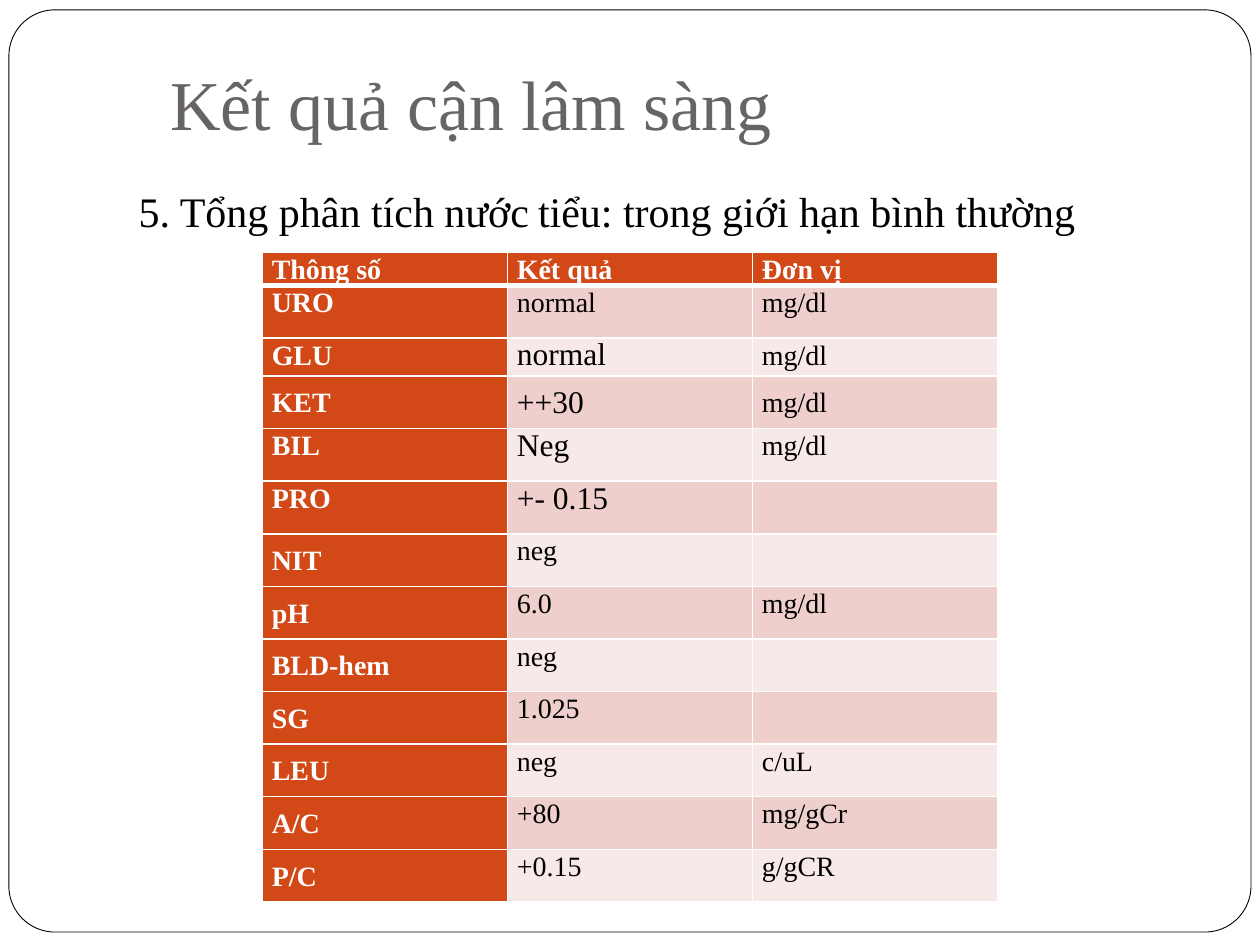
from dataclasses import dataclass

from lxml import etree
from pptx import Presentation
from pptx.dml.color import RGBColor
from pptx.enum.shapes import MSO_SHAPE
from pptx.enum.text import MSO_ANCHOR, MSO_AUTO_SIZE, PP_ALIGN
from pptx.oxml.ns import qn
from pptx.util import Cm, Pt

LEFT, JUSTIFY = PP_ALIGN.LEFT, PP_ALIGN.JUSTIFY
TOP, MIDDLE, BOTTOM = MSO_ANCHOR.TOP, MSO_ANCHOR.MIDDLE, MSO_ANCHOR.BOTTOM
ROUNDED = MSO_SHAPE.ROUNDED_RECTANGLE
NO_FIT = MSO_AUTO_SIZE.NONE


@dataclass(frozen=True)
class Theme:
    font: str = "Times New Roman"
    white: str = "FFFFFF"
    black: str = "000000"
    title: str = "696464"
    accent: str = "D34817"
    bands: tuple = ("EFCFCC", "F7E9E8")
    title_size: int = 40
    body_size: int = 24
    gap_size: int = 20
    large_size: int = 18
    cell_size: int = 16


THEME = Theme()

HEADERS = ("Thông số", "Kết quả", "Đơn vị")
RESULTS = (
    ("URO", "normal", "mg/dl"),
    ("GLU", "normal", "mg/dl"),
    ("KET", "++30", "mg/dl"),
    ("BIL", "Neg", "mg/dl"),
    ("PRO", "+- 0.15", ""),
    ("NIT", "neg", ""),
    ("pH", "6.0", "mg/dl"),
    ("BLD-hem", "neg", ""),
    ("SG", "1.025", ""),
    ("LEU", "neg", "c/uL"),
    ("A/C", "+80", "mg/gCr"),
    ("P/C", "+0.15", "g/gCR"),
)
LARGE_RESULTS = {"GLU", "KET", "BIL", "PRO"}
MIDDLE_NAMES = {"KET", "NIT", "pH", "BLD-hem", "SG", "LEU", "A/C", "P/C"}


def add_text(p, text, size=THEME.cell_size, color=THEME.black, bold=False,
             align=LEFT, line=1.0, after=0):
    p.alignment = align
    p.line_spacing = line
    p.space_before, p.space_after = Pt(0), Pt(after)
    r = p.add_run()
    r.text = text
    r.font.name, r.font.size, r.font.bold = THEME.font, Pt(size), bold
    r.font.color.rgb = RGBColor.from_string(color)


def place(sp, box):
    sp.left, sp.top, sp.width, sp.height = (Cm(v) for v in box)


def add_frame(slide, box):
    sp = slide.shapes.add_shape(ROUNDED, *(Cm(v) for v in box))
    sp.adjustments[0] = 0.05
    sp.shadow.inherit = False
    sp.fill.solid()
    sp.fill.fore_color.rgb = RGBColor.from_string(THEME.white)
    sp.line.color.rgb = RGBColor.from_string(THEME.black)
    sp.line.width = Pt(0.5)
    slide.shapes._spTree.insert(2, sp._element)


def fill_title(slide, box, text):
    sp = slide.shapes.title
    place(sp, box)
    tf = sp.text_frame
    tf.auto_size, tf.word_wrap = NO_FIT, True
    tf.vertical_anchor = BOTTOM
    tf.margin_bottom = Cm(0.25)
    add_text(tf.paragraphs[0], text, size=THEME.title_size, color=THEME.title)


def fill_body(slide, box, runs):
    sp = slide.placeholders[1]
    place(sp, box)
    tf = sp.text_frame
    tf.auto_size, tf.word_wrap = NO_FIT, True
    p = tf.paragraphs[0]
    pPr = p._p.get_or_add_pPr()
    pPr.set("marL", "0")
    pPr.set("indent", "0")
    etree.SubElement(pPr, qn("a:buNone"))
    for text, size in runs:
        add_text(p, text, size=size)


def set_borders(cell, top, bottom):
    tcPr = cell._tc.get_or_add_tcPr()
    sides = (("L", 1), ("R", 1), ("T", top), ("B", bottom))
    for i, (side, width) in enumerate(sides):
        ln = etree.Element(qn(f"a:ln{side}"), w=str(Pt(width)))
        fill = etree.SubElement(ln, qn("a:solidFill"))
        etree.SubElement(fill, qn("a:srgbClr"), val=THEME.white)
        tcPr.insert(i, ln)


def fill_cell(cell, text, fill, anchor=TOP, top=1, bottom=1, **fmt):
    cell.margin_left = cell.margin_right = Cm(0.19)
    cell.margin_top = cell.margin_bottom = 0
    cell.vertical_anchor = anchor
    cell.fill.solid()
    cell.fill.fore_color.rgb = RGBColor.from_string(fill)
    set_borders(cell, top, bottom)
    if text:
        add_text(cell.text_frame.paragraphs[0], text, **fmt)


def add_results(slide, box):
    rows, cols = len(RESULTS) + 1, len(HEADERS)
    table = slide.shapes.add_table(rows, cols, *(Cm(v) for v in box)).table
    table.horz_banding = False
    for col in table.columns:
        col.width = Cm(box[2] / cols)
    for row in table.rows:
        row.height = Cm(1.06)
    table.rows[0].height = Cm(0.66)
    table.rows[2].height = Cm(0.77)

    spaced = dict(align=JUSTIFY, line=1.07, after=8)
    strong = dict(spaced, color=THEME.white, bold=True)
    for c, text in enumerate(HEADERS):
        fill_cell(table.cell(0, c), text, THEME.accent, bottom=3, **strong)
    for i, (name, result, unit) in enumerate(RESULTS):
        band = THEME.bands[i % 2]
        top = 3 if i == 0 else 1
        name_anchor = MIDDLE if name in MIDDLE_NAMES else TOP
        anchor = MIDDLE if name == "KET" else TOP
        large = dict(size=THEME.large_size)
        result_format = large if name in LARGE_RESULTS else spaced
        cells = table.rows[i + 1].cells
        fill_cell(cells[0], name, THEME.accent, name_anchor, top, **strong)
        fill_cell(cells[1], result, band, anchor, top, **result_format)
        fill_cell(cells[2], unit, band, anchor, top, **spaced)


def main():
    prs = Presentation()
    prs.slide_width, prs.slide_height = Cm(25.4), Cm(19.05)
    slide = prs.slides.add_slide(prs.slide_layouts[1])
    add_frame(slide, (0.18, 0.2, 25.04, 18.59))
    fill_title(slide, (3.18, 0.76, 20.96, 2.41), "Kết quả cận lâm sàng")
    fill_body(slide, (2.54, 3.61, 21.59, 12.7), (
        ("5. Tổng phân tích nước", THEME.body_size),
        (" ", THEME.gap_size),
        ("tiểu: trong giới hạn bình thường", THEME.body_size),
    ))
    add_results(slide, (5.29, 5.08, 14.82, 13.09))
    prs.save("out.pptx")


if __name__ == "__main__":
    main()
